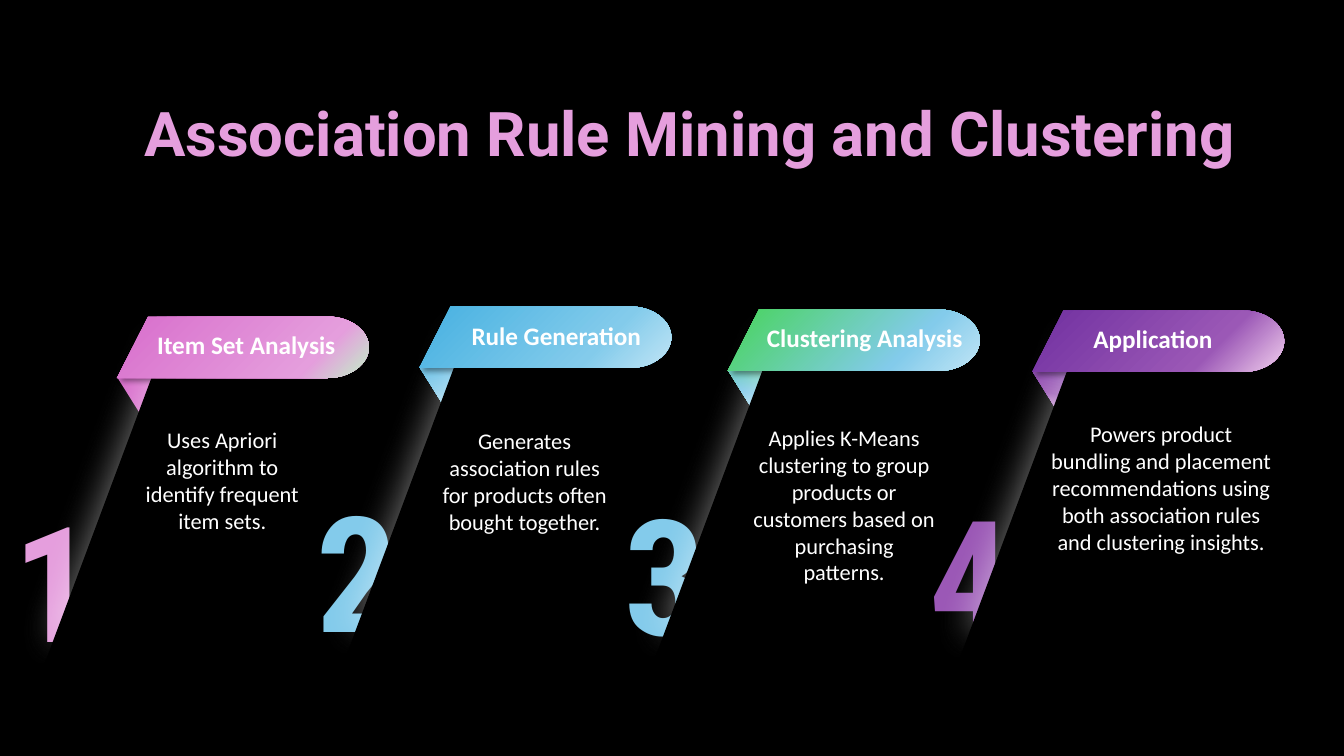
import pptx
import pptx.dml.color
import pptx.enum.shapes
import pptx.enum.text
import pptx.oxml
import pptx.oxml.ns
import pptx.util
from pptx.util import Inches

COLOURS = {
    "black": "000000", "white": "FFFFFF", "title": "E59EDD",
    "orchid": "D86ECC", "pink": "E59EDD", "mint": "C2F1C8",
    "blue": "46B1E1", "sky": "83CBEB", "ice": "C1E5F5", "green": "47D45A",
    "purple": "7030A0", "violet": "9B58B6", "blush": "F2CFEE",
}
BLACK = [(0, "black")]
BLUE = [(0, "blue"), (70, "sky"), (100, "ice")]
GREEN = [(0, "green"), (70, "sky"), (100, "ice")]
PURPLE = [(0, "purple"), (70, "violet"), (100, "blush")]
PRESETS = pptx.enum.shapes.MSO_SHAPE

# Boxes are left, top, width, height; stops are percent and colour.
STEPS = [
    {"corner": (1.16, 3.14), "label": "Item Set Analysis",
     "label_box": (1.46, 3.22, 2.38, 0.4),
     "body": "Uses Apriori algorithm to identify frequent item sets.",
     "body_box": (1.32, 4.18, 1.77, 1.18),
     "fold": [(0, "orchid")],
     "number": [(0, "pink"), (70, "pink"), (100, "mint")],
     "banner": [(0, "orchid"), (77, "pink"), (100, "mint")]},
    {"corner": (4.16, 3.04), "label": "Rule Generation",
     "label_box": (4.58, 3.13, 2.04, 0.4),
     "body": "Generates association rules for products often bought together.",
     "body_box": (4.27, 4.19, 1.87, 1.18),
     "fold": BLUE, "number": BLUE, "banner": BLUE},
    {"corner": (7.22, 3.07), "label": "Clustering Analysis",
     "label_box": (7.51, 3.15, 2.38, 0.4),
     "body": "Applies K-Means clustering to group products or customers "
             "based on purchasing patterns.",
     "body_box": (7.36, 4.16, 2.03, 1.72),
     "fold": GREEN, "number": GREEN, "banner": GREEN},
    {"corner": (10.24, 3.08), "label": "Application",
     "label_box": (10.75, 3.16, 1.64, 0.4),
     "body": "Powers product bundling and placement recommendations using "
             "both association rules and clustering insights.",
     "body_box": (10.3, 4.12, 2.44, 1.45),
     "fold": PURPLE, "number": PURPLE, "banner": PURPLE},
]


def rgb(name):
    return pptx.dml.color.RGBColor.from_string(COLOURS[name])


def set_fill(fill, holder, stops):
    """Fill with one colour, or with a 45 degree gradient of several."""
    if len(stops) == 1:
        fill.solid()
        fill.fore_color.rgb = rgb(stops[0][1])
        return
    fill.gradient()
    marks = "".join(
        f'<a:gs pos="{percent * 1000}"><a:srgbClr val="{COLOURS[name]}"/></a:gs>'
        for percent, name in stops)
    gradient = pptx.oxml.parse_xml(
        f'<a:gradFill {pptx.oxml.ns.nsdecls("a")} rotWithShape="1">'
        f'<a:gsLst>{marks}</a:gsLst><a:lin ang="2700000" scaled="0"/></a:gradFill>')
    holder.replace(holder.find(pptx.oxml.ns.qn("a:gradFill")), gradient)


def style_shape(shape, stops):
    shape.shadow.inherit = False
    shape.line.fill.background()
    set_fill(shape.fill, shape.element.spPr, stops)


def add_shadow(shape, colour, blur, distance, degrees, scale=100):
    """Cast a 40 % shadow; blur and distance are in points, scale in percent."""
    effects = shape.element.spPr.find(pptx.oxml.ns.qn("a:effectLst"))
    effects.append(pptx.oxml.parse_xml(
        f'<a:outerShdw {pptx.oxml.ns.nsdecls("a")} blurRad="{pptx.util.Pt(blur)}" '
        f'dist="{pptx.util.Pt(distance)}" dir="{degrees * 60000}" '
        f'sx="{scale * 1000}" sy="{scale * 1000}" '
        f'algn="ctr" rotWithShape="0"><a:srgbClr val="{COLOURS[colour]}">'
        '<a:alpha val="40000"/></a:srgbClr></a:outerShdw>'))


def add_preset(shapes, kind, box, stops):
    shape = shapes.add_shape(kind, *map(Inches, box))
    style_shape(shape, stops)
    return shape


def bend(line, controls):
    """Turn a straight outline segment into a Bézier curve."""
    points = "".join(f'<a:pt x="{Inches(x)}" y="{Inches(y)}"/>' for x, y in controls)
    curve = pptx.oxml.parse_xml(
        f'<a:cubicBezTo {pptx.oxml.ns.nsdecls("a")}>{points}</a:cubicBezTo>')
    curve.append(line[0])
    line.getparent().replace(line, curve)


def add_banner(group, left, top, stops):
    """Draw a ribbon with a slanted left end and a round right end."""
    width, height, slant, radius = 2.5, 0.61, 0.31, 0.41
    shoulder, middle = width - radius, height / 2
    corners = [(shoulder, 0), (width, middle), (shoulder, height), (0, height)]
    builder = group.shapes.build_freeform(
        Inches(left + slant), Inches(top), scale=1.0)
    builder.add_line_segments(
        [(Inches(left + x), Inches(top + y)) for x, y in corners])
    banner = builder.convert_to_shape()
    lines = list(banner.element.iter(pptx.oxml.ns.qn("a:lnTo")))
    reach, rise = shoulder + 0.55 * radius, 0.45 * middle
    bend(lines[1], [(reach, 0), (width, rise)])
    bend(lines[2], [(width, height - rise), (reach, height)])
    style_shape(banner, stops)
    add_shadow(banner, "black", 4, 3, 45)


def add_text(group, box, text, font, size, bold=False, centred=False):
    frame = group.shapes.add_textbox(*map(Inches, box)).text_frame
    frame.word_wrap = True
    para = frame.paragraphs[0]
    span = para.add_run()
    span.text = text
    if centred:
        para.alignment = pptx.enum.text.PP_ALIGN.CENTER
    para.font.name = font
    para.font.size = pptx.util.Pt(size)
    para.font.bold = bold
    para.font.color.rgb = rgb("white")
    return span


def add_step(page, number, step):
    left, top = step["corner"]
    group = page.shapes.add_group_shape()

    fold = add_preset(group.shapes, PRESETS.ISOSCELES_TRIANGLE,
                      (left + 0.11, top + 0.43, 0.49, 0.51), step["fold"])
    fold.rotation = 57.9

    digit = add_text(group, (left - 1.12, top + 1.59, 1.48, 2.04), str(number),
                     "Roboto Condensed", 115, bold=True)
    set_fill(digit.font.fill, digit._r.get_or_add_rPr(), step["number"])

    panel = add_preset(group.shapes, PRESETS.PARALLELOGRAM,
                       (left - 0.85, top - 0.33, 4.44, 4.13), BLACK)
    panel.adjustments[0] = 0.374
    add_shadow(panel, "white", 25, 35, 180, scale=70)

    add_banner(group, left, top, step["banner"])
    add_text(group, step["label_box"], step["label"], "Calibri", 18, bold=True)
    add_text(group, step["body_box"], step["body"], "Calibri", 16, centred=True)


def set_title(page, text):
    title = page.shapes.title
    title.left, title.top = Inches(1.33), Inches(0.89)
    title.width, title.height = Inches(11.8), Inches(1.58)
    frame = title.text_frame
    frame.text = text
    frame.word_wrap = True
    frame.auto_size = pptx.enum.text.MSO_AUTO_SIZE.NONE
    frame.vertical_anchor = pptx.enum.text.MSO_ANCHOR.TOP
    para = frame.paragraphs[0]
    para.alignment = pptx.enum.text.PP_ALIGN.LEFT
    para.font.name = "Roboto"
    para.font.size = pptx.util.Pt(44)
    para.font.bold = True
    para.font.color.rgb = rgb("title")


def add_backdrop(page, width, height):
    """Cover the page in black, behind the title."""
    backdrop = add_preset(page.shapes, PRESETS.RECTANGLE, (0, 0, width, height), BLACK)
    page.shapes.title.element.addprevious(backdrop.element)


def main():
    width, height = 40 / 3, 7.5
    deck = pptx.Presentation()
    deck.slide_width, deck.slide_height = Inches(width), Inches(height)
    page = deck.slides.add_slide(deck.slide_layouts[5])
    add_backdrop(page, width, height)
    set_title(page, "Association Rule Mining and Clustering")
    for number, step in enumerate(STEPS, 1):
        add_step(page, number, step)
    deck.save("out.pptx")


if __name__ == "__main__":
    main()
